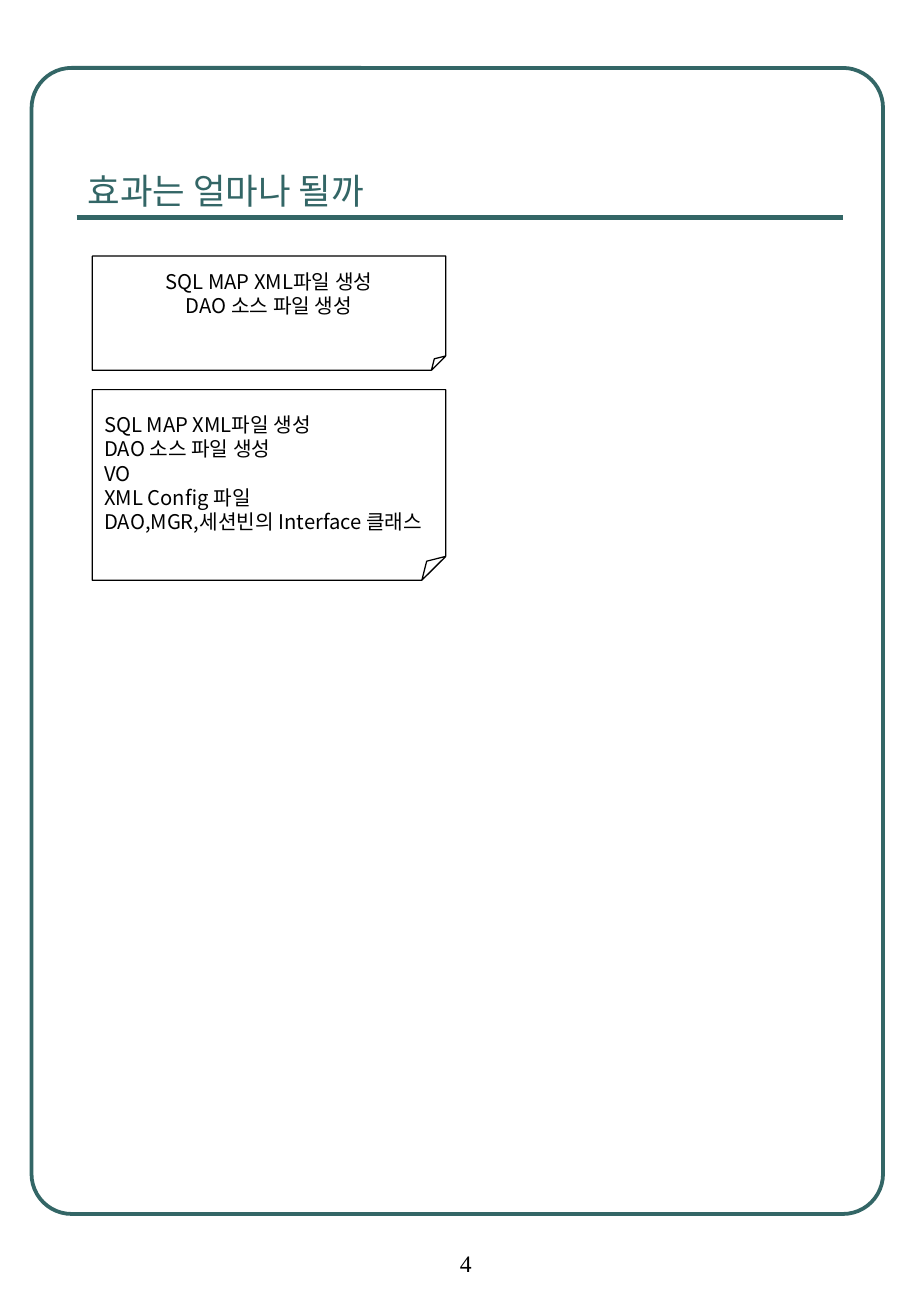
import pptx
import pptx.util
import pptx.dml.color
import pptx.enum.shapes
import pptx.enum.text
import pptx.oxml.ns
import lxml.etree

Inches = pptx.util.Inches
Pt = pptx.util.Pt
ALIGN = pptx.enum.text.PP_ALIGN
ANCHOR = pptx.enum.text.MSO_ANCHOR
SHAPE = pptx.enum.shapes.MSO_SHAPE
TEAL = "336666"
BLACK = "000000"
KOREAN_FONT = "Noto Sans CJK KR"


def set_color(color_format, value):
    color_format.rgb = pptx.dml.color.RGBColor.from_string(value)


def write_text(shape, lines, frame_format, paragraph_format, font_format, color):
    frame = shape.text_frame
    frame_defaults = {
        "word_wrap": True,
        "auto_size": pptx.enum.text.MSO_AUTO_SIZE.NONE,
        "margin_left": Inches(0.1),
        "margin_right": Inches(0.1),
        "margin_top": Inches(0.05),
        "margin_bottom": Inches(0.05),
    }
    for name, value in {**frame_defaults, **frame_format}.items():
        setattr(frame, name, value)
    frame.text = "\n".join(lines)
    for paragraph in frame.paragraphs:
        for name, value in paragraph_format.items():
            setattr(paragraph, name, value)
        for run in paragraph.runs:
            for name, value in font_format.items():
                setattr(run.font, name, value)
            set_color(run.font.color, color)
            # Korean glyphs use the East Asian typeface
            east_asian = lxml.etree.SubElement(
                run.font._element, pptx.oxml.ns.qn("a:ea"))
            east_asian.set("typeface", font_format["name"])


presentation = pptx.Presentation()
presentation.slide_width = Inches(7.5)
presentation.slide_height = Inches(10.84)
slide = presentation.slides.add_slide(presentation.slide_layouts[5])

# Page frame
page_frame = slide.shapes.add_shape(
    SHAPE.ROUNDED_RECTANGLE, Inches(0.26), Inches(0.56), Inches(7.01), Inches(9.44))
page_frame.adjustments[0] = 0.047
page_frame.shadow.inherit = False
page_frame.fill.background()
page_frame.line.width = Pt(2.25)
set_color(page_frame.line.color, TEAL)

# Rule under the title
title_rule = slide.shapes.add_connector(
    pptx.enum.shapes.MSO_CONNECTOR.STRAIGHT,
    Inches(0.63), Inches(1.79), Inches(6.94), Inches(1.79))
title_rule.line.width = Pt(3)
set_color(title_rule.line.color, TEAL)
lxml.etree.SubElement(title_rule._element.spPr, pptx.oxml.ns.qn("a:effectLst"))

# Title
title = slide.shapes.title
title_place = {"left": 0.62, "top": 0.85, "width": 6.31, "height": 0.94}
for name, value in title_place.items():
    setattr(title, name, Inches(value))
write_text(title, ["효과는 얼마나 될까"], {"vertical_anchor": ANCHOR.BOTTOM},
           {"alignment": ALIGN.LEFT}, {"size": Pt(21), "name": KOREAN_FONT}, TEAL)

# Notes with a folded corner: top, height, alignment, bottom margin, lines
shared_lines = ["SQL MAP XML파일 생성", "DAO 소스 파일 생성"]
notes = [
    (2.11, 0.94, ALIGN.CENTER, 0.25, shared_lines),
    (3.21, 1.57, ALIGN.LEFT, 0.05, shared_lines + [
        "VO", "XML Config 파일", "DAO,MGR,세션빈의 Interface 클래스"]),
]
for top, height, alignment, bottom_margin, lines in notes:
    note = slide.shapes.add_shape(
        SHAPE.FOLDED_CORNER, Inches(0.76), Inches(top), Inches(2.91), Inches(height))
    # The fold takes an eighth of the height
    adjust_list = note._element.spPr.find(".//" + pptx.oxml.ns.qn("a:avLst"))
    fold = lxml.etree.SubElement(adjust_list, pptx.oxml.ns.qn("a:gd"))
    fold.set("name", "adj")
    fold.set("fmla", "val 12500")
    note.shadow.inherit = False
    note.fill.background()
    note.line.width = Pt(0.75)
    set_color(note.line.color, BLACK)
    write_text(note, lines,
               {"vertical_anchor": ANCHOR.MIDDLE, "margin_bottom": Inches(bottom_margin)},
               {"alignment": alignment, "line_spacing": Pt(14.3)},
               {"size": Pt(12), "name": KOREAN_FONT}, BLACK)

# Page number
page_number = slide.shapes.add_textbox(
    Inches(3.06), Inches(10.24), Inches(1.31), Inches(0.72))
write_text(page_number, ["4"], {"margin_left": Inches(0.34)},
           {"alignment": ALIGN.CENTER},
           {"size": Pt(14), "name": "Times New Roman"}, BLACK)

presentation.save("out.pptx")
